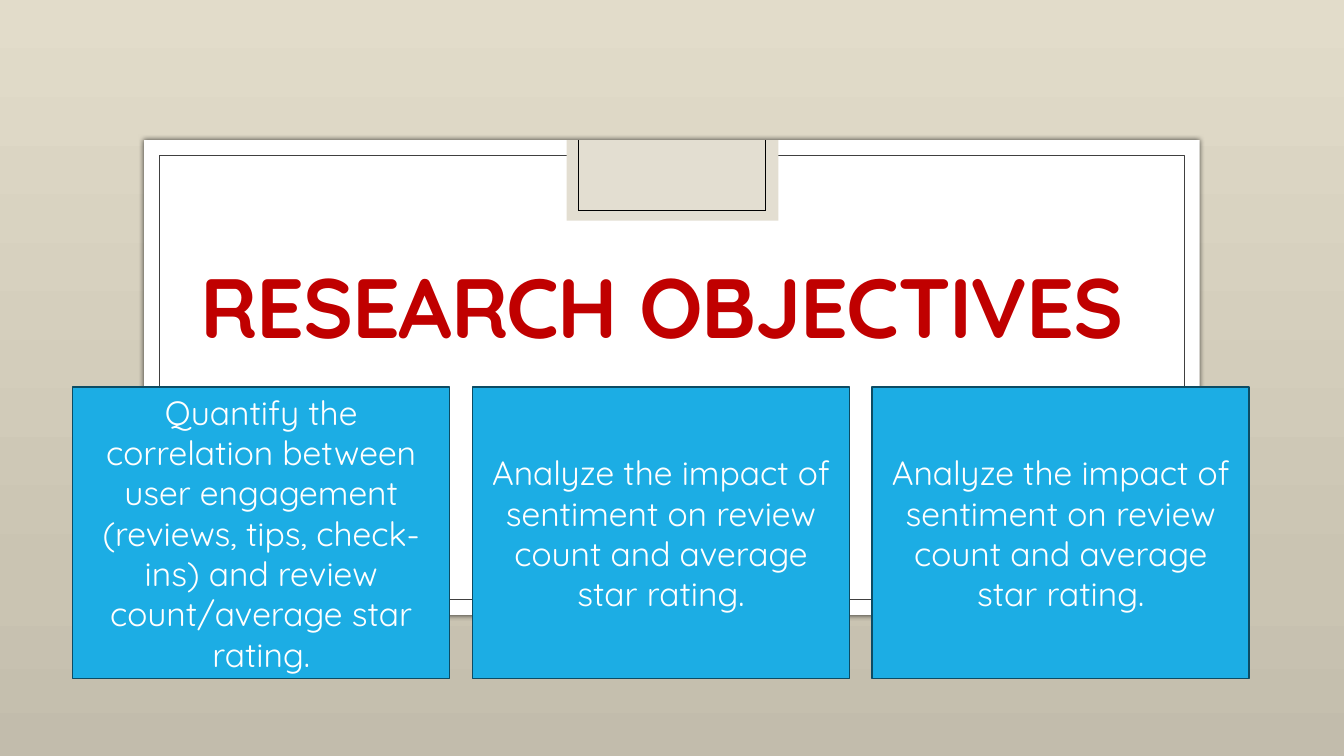
from dataclasses import dataclass
from typing import Optional

from lxml.etree import SubElement
from pptx import Presentation
from pptx.dml.color import RGBColor
from pptx.enum.shapes import MSO_CONNECTOR, MSO_SHAPE
from pptx.enum.text import MSO_ANCHOR, PP_ALIGN
from pptx.oxml.ns import qn
from pptx.util import Inches, Pt

FONT = "Quicksand"
WHITE = RGBColor(0xFF, 0xFF, 0xFF)
BLACK = RGBColor(0x00, 0x00, 0x00)
FRAME_GRAY = RGBColor(0x40, 0x40, 0x40)
CLIP_BEIGE = RGBColor(0xE3, 0xDE, 0xD1)
TITLE_RED = RGBColor(0xC0, 0x00, 0x00)
CARD_BLUE = RGBColor(0x1C, 0xAD, 0xE4)
CARD_EDGE = RGBColor(0x0C, 0x4C, 0x64)
BACKGROUND_STOPS = (
    (0, RGBColor(0xE2, 0xDC, 0xCA)),
    (77, RGBColor(0xCA, 0xC4, 0xB2)),
    (100, RGBColor(0xC2, 0xBC, 0xAC)),
)

CARD_LEFT, CARD_TOP, CARD_PITCH = 0.72, 3.84, 3.965
CARD_WIDTH, CARD_HEIGHT = 3.74, 2.89
OBJECTIVES = (
    "Quantify the correlation between user engagement (reviews, tips, "
    "check-ins) and review count/average star rating.",
    "Analyze the impact of sentiment on review count and average star rating.",
    "Analyze the impact of sentiment on review count and average star rating.",
)


@dataclass(frozen=True)
class Panel:
    left: float
    top: float
    width: float
    height: float
    fill: Optional[RGBColor] = None
    line: Optional[RGBColor] = None
    line_width: float = 0.5


@dataclass(frozen=True)
class Edge:
    x1: float
    y1: float
    x2: float
    y2: float


PAPER = Panel(1.43, 1.39, 10.47, 4.71, fill=WHITE)
INNER_FRAME = Panel(1.58, 1.54, 10.17, 4.41, line=FRAME_GRAY)
CLIP = Panel(5.62, 1.39, 2.1, 0.8, fill=CLIP_BEIGE)
CLIP_EDGES = (
    Edge(5.74, 1.39, 5.74, 2.09),
    Edge(7.59, 1.39, 7.59, 2.09),
    Edge(5.74, 2.09, 7.59, 2.09),
)


def paint_background(slide) -> None:
    fill = slide.background.fill
    fill.gradient()
    fill.gradient_angle = 270
    stops = slide.element.find(".//" + qn("a:gsLst"))
    for old_stop in list(stops):
        stops.remove(old_stop)
    for percent, color in BACKGROUND_STOPS:
        stop = SubElement(stops, qn("a:gs"), pos=str(percent * 1000))
        SubElement(stop, qn("a:srgbClr"), val=str(color))


def add_panel(slide, panel: Panel):
    sp = slide.shapes.add_shape(
        MSO_SHAPE.RECTANGLE, Inches(panel.left), Inches(panel.top),
        Inches(panel.width), Inches(panel.height))
    sp.shadow.inherit = False
    if panel.fill is None:
        sp.fill.background()
    else:
        sp.fill.solid()
        sp.fill.fore_color.rgb = panel.fill
    if panel.line is None:
        sp.line.fill.background()
    else:
        sp.line.color.rgb = panel.line
        sp.line.width = Pt(panel.line_width)
    return sp


def add_glow_shadow(sp) -> None:
    """Give the shape a soft, centred shadow."""
    effects = sp.element.spPr.find(qn("a:effectLst"))
    shadow = SubElement(effects, qn("a:outerShdw"), blurRad=str(Pt(4)), dist="0",
                        dir="0", algn="ctr", rotWithShape="0")
    color = SubElement(shadow, qn("a:srgbClr"), val=str(BLACK))
    SubElement(color, qn("a:alpha"), val="66000")


def add_edge(slide, edge: Edge) -> None:
    line = slide.shapes.add_connector(
        MSO_CONNECTOR.STRAIGHT, Inches(edge.x1), Inches(edge.y1),
        Inches(edge.x2), Inches(edge.y2))
    line.line.color.rgb = BLACK
    line.line.width = Pt(0.5)
    SubElement(line.element.spPr, qn("a:effectLst"))


def write_centered(sp, text: str, size: float, color: RGBColor, bold: bool = False):
    """Set the shape's text in its middle and return the paragraph."""
    tf = sp.text_frame
    tf.word_wrap = True
    tf.vertical_anchor = MSO_ANCHOR.MIDDLE
    tf.text = text
    p = tf.paragraphs[0]
    p.alignment = PP_ALIGN.CENTER
    font = p.runs[0].font
    font.name = FONT
    font.size = Pt(size)
    font.bold = bold
    font.color.rgb = color
    return p


def add_title(slide) -> None:
    box = slide.shapes.add_textbox(Inches(1.55), Inches(2.56), Inches(10.03), Inches(1.1))
    p = write_centered(box, "RESEARCH OBJECTIVES", 60, TITLE_RED, bold=True)
    p.line_spacing = 0.83
    p.runs[0].font._element.set("spc", "-100")


def main() -> None:
    prs = Presentation()
    prs.slide_width, prs.slide_height = Inches(13.33), Inches(7.5)
    slide = prs.slides.add_slide(prs.slide_layouts[6])

    paint_background(slide)
    add_glow_shadow(add_panel(slide, PAPER))
    add_panel(slide, INNER_FRAME)
    add_panel(slide, CLIP)
    for edge in CLIP_EDGES:
        add_edge(slide, edge)
    add_title(slide)
    for i, objective in enumerate(OBJECTIVES):
        card = Panel(CARD_LEFT + i * CARD_PITCH, CARD_TOP, CARD_WIDTH, CARD_HEIGHT,
                     fill=CARD_BLUE, line=CARD_EDGE, line_width=1)
        write_centered(add_panel(slide, card), objective, 24, WHITE)

    prs.save("out.pptx")


if __name__ == "__main__":
    main()
